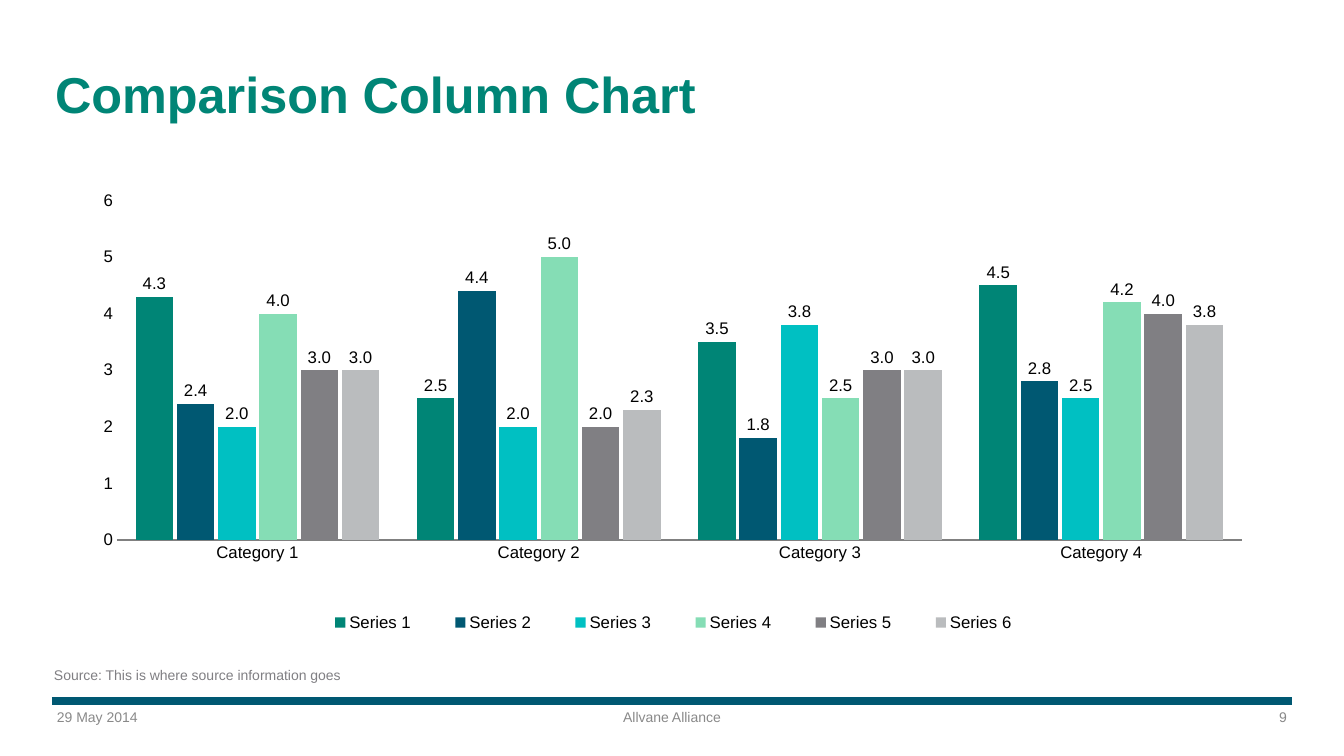
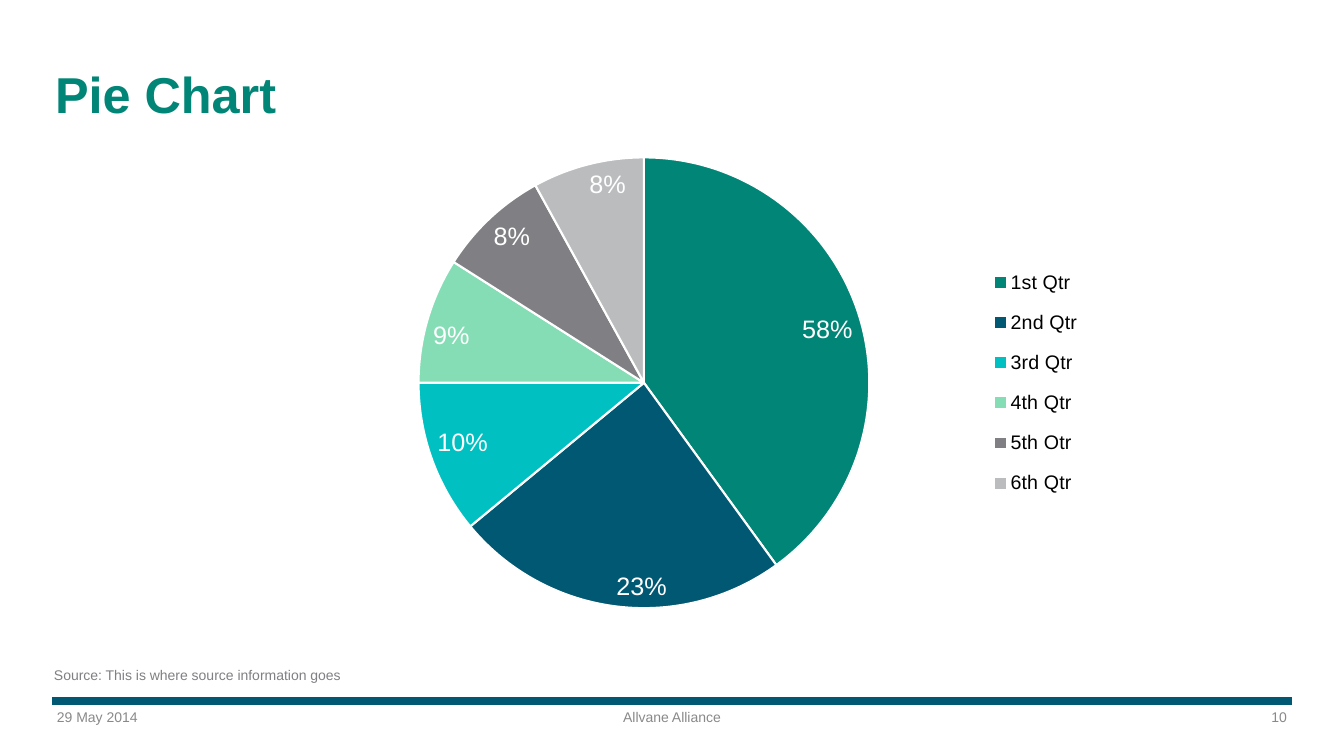
import pptx
import pptx.chart.data
import pptx.dml.color
import pptx.enum.chart
import pptx.enum.shapes
import pptx.enum.text
import pptx.oxml
import pptx.oxml.ns
import pptx.util

RGB = pptx.dml.color.RGBColor
ALIGN = pptx.enum.text.PP_ALIGN
TYPE = pptx.enum.chart.XL_CHART_TYPE
LABEL = pptx.enum.chart.XL_LABEL_POSITION
LEGEND = pptx.enum.chart.XL_LEGEND_POSITION

# Shared look
SCALE = 914400 / 100.8
FONT = "Arial"
GREEN = RGB(0x00, 0x85, 0x76)
NAVY = RGB(0x00, 0x58, 0x72)
TEAL = RGB(0x00, 0xC0, 0xC2)
MINT = RGB(0x85, 0xDD, 0xB5)
GRAY = RGB(0x80, 0x7F, 0x83)
SILVER = RGB(0xBA, 0xBC, 0xBE)
AXIS = RGB(0x80, 0x80, 0x80)
MUTED = RGB(0x89, 0x89, 0x89)
BLACK = RGB(0, 0, 0)
WHITE = RGB(255, 255, 255)
PALETTE = (GREEN, NAVY, TEAL, MINT, GRAY, SILVER)

# Content
DATE = "29 May 2014"
OWNER = "Allvane Alliance"
SOURCE = "Source: This is where source information goes"
GROUPS = [f"Category {n}" for n in range(1, 5)]
COLUMNS = (
    (4.3, 2.5, 3.5, 4.5),
    (2.4, 4.4, 1.8, 2.8),
    (2.0, 2.0, 3.8, 2.5),
    (4.0, 5.0, 2.5, 4.2),
    (3.0, 2.0, 3.0, 4.0),
    (3.0, 2.3, 3.0, 3.8),
)
QUARTERS = ("1st Qtr", "2nd Qtr", "3rd Qtr", "4th Qtr", "5th Otr", "6th Qtr")
SHARES = (40, 24, 11, 9, 8, 8)
CUSTOM = ("58%", "23%", "10%")


def px(*sizes):
    return [pptx.util.Emu(round(size * SCALE)) for size in sizes]


def set_font(font, size, color, bold=False):
    font.name = FONT
    font.size = pptx.util.Pt(size)
    font.color.rgb = color
    font.bold = bold


def set_frame(frame, insets):
    frame.word_wrap = True
    frame.auto_size = pptx.enum.text.MSO_AUTO_SIZE.NONE
    (frame.margin_left, frame.margin_top,
     frame.margin_right, frame.margin_bottom) = px(*insets)


def add_text(slide, box, text, color, align=ALIGN.LEFT, insets=(5, 5, 5, 5)):
    frame = slide.shapes.add_textbox(*px(*box)).text_frame
    set_frame(frame, insets)
    para = frame.paragraphs[0]
    para.text = text
    para.alignment = align
    set_font(para.runs[0].font, 10, color)


def add_rule(slide):
    line = slide.shapes.add_connector(
        pptx.enum.shapes.MSO_CONNECTOR.STRAIGHT, *px(52, 701, 1292, 701))
    line.line.color.rgb = NAVY
    line.line.width = pptx.util.Pt(5.5)
    props = line.element.find(pptx.oxml.ns.qn("p:spPr"))
    props.append(pptx.oxml.parse_xml(
        f"<a:effectLst {pptx.oxml.ns.nsdecls('a')}/>"))


def add_title(slide, text):
    title = slide.shapes.title
    title.left, title.top, title.width, title.height = px(50, 19, 1239, 111)
    frame = title.text_frame
    frame.text = text
    set_frame(frame, (5, 5, 5, 5))
    frame.vertical_anchor = pptx.enum.text.MSO_ANCHOR.BOTTOM
    para = frame.paragraphs[0]
    para.alignment = ALIGN.LEFT
    para.line_spacing = 0.95
    set_font(para.runs[0].font, 36, GREEN, True)


def add_slide(deck, title, number):
    slide = deck.slides.add_slide(deck.slide_layouts[5])
    add_title(slide, title)
    add_rule(slide)
    # Footer in three equal parts
    parts = ((DATE, ALIGN.LEFT), (OWNER, ALIGN.CENTER),
             (str(number), ALIGN.RIGHT))
    for i, (text, align) in enumerate(parts):
        add_text(slide, (52 + i * 454, 704, 332, 27), text, MUTED, align)
    add_text(slide, (54, 660, 489, 30), SOURCE, GRAY, insets=(0, 7, 13, 7))
    return slide


def set_place(part, index, box, target=""):
    """Give the plot or the legend a fixed place, in shares of the chart."""
    for old in part.xpath("c:layout"):
        part.remove(old)
    x, y, w, h = box
    part.insert(index, pptx.oxml.parse_xml(
        f"<c:layout {pptx.oxml.ns.nsdecls('c')}><c:manualLayout>{target}"
        '<c:xMode val="edge"/><c:yMode val="edge"/>'
        f'<c:x val="{x}"/><c:y val="{y}"/><c:w val="{w}"/><c:h val="{h}"/>'
        "</c:manualLayout></c:layout>"))


def add_chart(slide, kind, box, cats, rows, size, side, key, plot, legend):
    data = pptx.chart.data.CategoryChartData()
    data.categories = cats
    for n, row in enumerate(rows, 1):
        data.add_series(f"Series {n}", row)
    chart = slide.shapes.add_chart(kind, *px(*box), data).chart
    chart.has_title = False
    set_font(chart.font, size, BLACK)
    chart.has_legend = True
    chart.legend.position = side
    chart.legend.include_in_layout = False
    set_font(chart.legend.font, key, BLACK)
    set_place(chart.element.xpath("c:chart/c:plotArea")[0], 0, plot,
              '<c:layoutTarget val="inner"/>')
    set_place(chart.element.xpath("c:chart/c:legend")[0], 1, legend)
    return chart


def paint(item, color):
    item.format.fill.solid()
    item.format.fill.fore_color.rgb = color


def set_label(labels, size, color, place, form):
    set_font(labels.font, size, color)
    labels.position = place
    labels.number_format = form
    labels.number_format_is_linked = False


def add_columns(slide):
    chart = add_chart(slide, TYPE.COLUMN_CLUSTERED, (69, 182, 1197, 459),
                      GROUPS, COLUMNS, 12, LEGEND.BOTTOM, 12,
                      (0.04, 0.04, 0.94, 0.74), (0.19, 0.92, 0.63, 0.08))
    plot = chart.plots[0]
    plot.gap_width = 100
    plot.overlap = -10
    plot.vary_by_categories = False
    for series, color in zip(plot.series, PALETTE):
        paint(series, color)
        labels = series.data_labels
        labels.show_value = True
        set_label(labels, 12, BLACK, LABEL.OUTSIDE_END, "#,##0.0")
    # Axes
    cat, val = chart.category_axis, chart.value_axis
    for axis in (cat, val):
        axis.major_tick_mark = pptx.enum.chart.XL_TICK_MARK.NONE
        axis.minor_tick_mark = pptx.enum.chart.XL_TICK_MARK.NONE
        axis.has_major_gridlines = False
    cat.format.line.color.rgb = AXIS
    cat.format.line.width = pptx.util.Pt(1.75)
    val.format.line.fill.background()
    val.minimum_scale, val.maximum_scale, val.major_unit = 0, 6, 1
    val.tick_labels.number_format = "General"
    val.tick_labels.number_format_is_linked = False


def add_pie(slide):
    chart = add_chart(slide, TYPE.PIE, (154, 129, 980, 564),
                      QUARTERS, [SHARES], 18, LEGEND.RIGHT, 14,
                      (0.27, 0.05, 0.46, 0.8), (0.84, 0.22, 0.12, 0.46))
    plot = chart.plots[0]
    plot.vary_by_categories = True
    series = plot.series[0]
    labels = series.data_labels
    labels.show_value = False
    labels.show_percentage = True
    set_label(labels, 18, WHITE, LABEL.INSIDE_END, "0%")
    for i, color in enumerate(PALETTE):
        point = series.points[i]
        paint(point, color)
        point.format.line.color.rgb = WHITE
        point.format.line.width = pptx.util.Pt(1.5)
    # Labels with their own wording
    for i, text in enumerate(CUSTOM):
        label = series.points[i].data_label
        label.text_frame.text = text
        label.position = LABEL.INSIDE_END
        set_font(label.text_frame.paragraphs[0].runs[0].font, 18, WHITE)


def main():
    deck = pptx.Presentation()
    deck.slide_width, deck.slide_height = px(1344, 756)
    add_columns(add_slide(deck, "Comparison Column Chart", 9))
    add_pie(add_slide(deck, "Pie Chart", 10))
    deck.save("out.pptx")


if __name__ == "__main__":
    main()
